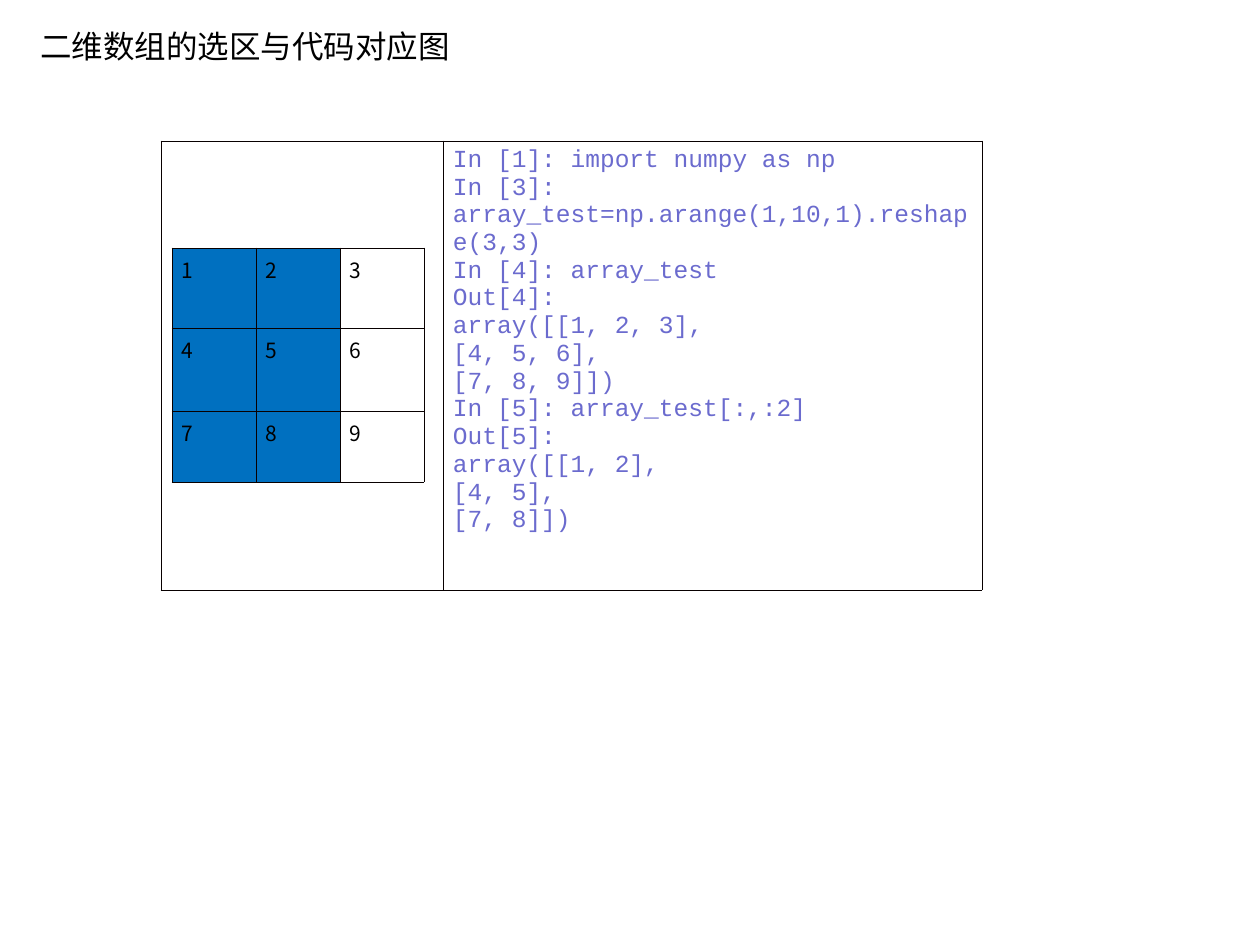
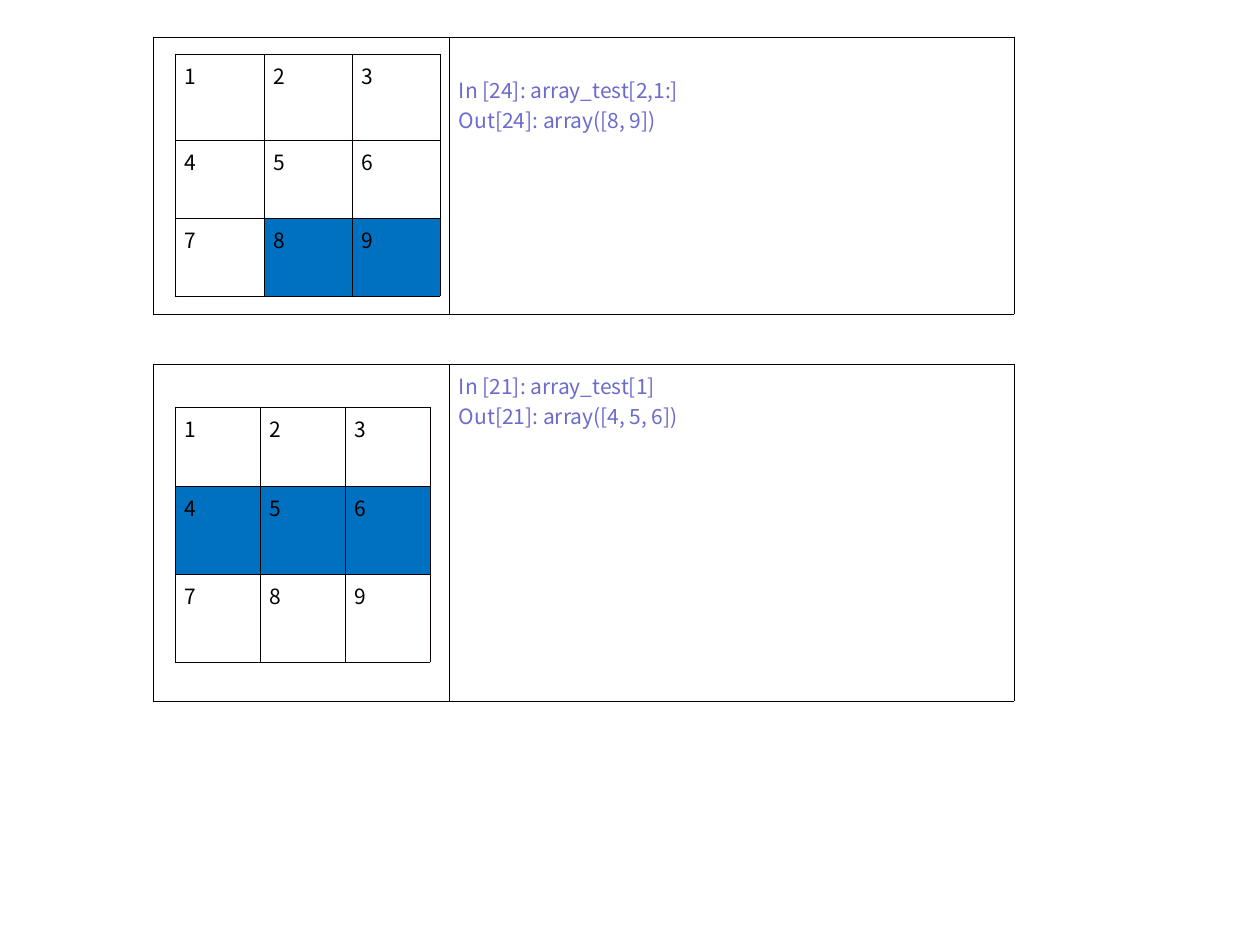
from lxml import etree
from pptx import Presentation
from pptx.dml.color import RGBColor
from pptx.enum.text import MSO_AUTO_SIZE
from pptx.oxml.ns import qn
from pptx.util import Emu, Pt

BLACK = RGBColor(0x00, 0x00, 0x00)
BORDER = RGBColor(0x08, 0x00, 0x00)
SELECTED = RGBColor(0x00, 0x70, 0xC0)
CODE = RGBColor(0x6B, 0x6B, 0xCE)

TITLE_FONT = "Arial"
MONO_FONT = "Courier New"
SANS_FONT = "Noto Sans CJK SC"

PIXELS_PER_INCH = 126
SIDE_MARGIN, TOP_MARGIN = 10, 6
BORDER_WIDTH = Pt(0.45)

SLICE_SESSION = [
    "In [1]: import numpy as np",
    "In [3]: array_test=np.arange(1,10,1).reshape(3,3)",
    "In [4]: array_test",
    "Out[4]:",
    "array([[1, 2, 3],",
    "[4, 5, 6],",
    "[7, 8, 9]])",
    "In [5]: array_test[:,:2]",
    "Out[5]:",
    "array([[1, 2],",
    "[4, 5],",
    "[7, 8]])",
]


def px(length):
    return Emu(round(length * 914400 / PIXELS_PER_INCH))


def write_lines(text_frame, lines, font_name, size, color):
    for index, line in enumerate(lines):
        paragraph = text_frame.add_paragraph() if index else text_frame.paragraphs[0]
        run = paragraph.add_run()
        run.text = line
        run.font.name = font_name
        run.font.size = Pt(size)
        run.font.bold = False
        run.font.color.rgb = color


def add_borders(cell):
    properties = cell._tc.get_or_add_tcPr()
    for index, side in enumerate(("a:lnL", "a:lnR", "a:lnT", "a:lnB")):
        line = etree.Element(qn(side), w=str(BORDER_WIDTH))
        fill = etree.SubElement(line, qn("a:solidFill"))
        etree.SubElement(fill, qn("a:srgbClr"), val=str(BORDER))
        properties.insert(index, line)


def add_plain_table(slide, left, top, columns, rows):
    """Add a table with thin borders and no fill; columns and rows are px sizes."""
    table = slide.shapes.add_table(
        len(rows), len(columns), px(left), px(top), px(sum(columns)), px(sum(rows))
    ).table
    table.first_row = table.horz_banding = False
    for column, width in zip(table.columns, columns):
        column.width = px(width)
    for row, height in zip(table.rows, rows):
        row.height = px(height)
    for cell in table.iter_cells():
        cell.margin_left = cell.margin_right = px(SIDE_MARGIN)
        cell.margin_top = cell.margin_bottom = px(TOP_MARGIN)
        cell.fill.background()
        add_borders(cell)
    return table


def add_array_grid(slide, left, top, columns, rows, selected):
    """Number the cells from 1 and colour the selected numbers."""
    table = add_plain_table(slide, left, top, columns, rows)
    for number, cell in enumerate(table.iter_cells(), start=1):
        write_lines(cell.text_frame, [str(number)], SANS_FONT, 12, BLACK)
        if number in selected:
            cell.fill.solid()
            cell.fill.fore_color.rgb = SELECTED


def add_example(slide, box, code_width, grid_offset, grid_columns, grid_rows,
                selected, code, font_name=SANS_FONT, size=12, code_drop=0):
    """Frame an array grid beside its code; grid_offset is relative to the box."""
    left, top, width, height = box
    frame = add_plain_table(slide, left, top, [width - code_width, code_width], [height])
    code_cell = frame.cell(0, 1)
    code_cell.margin_top = px(TOP_MARGIN + code_drop)
    write_lines(code_cell.text_frame, code, font_name, size, CODE)
    offset_x, offset_y = grid_offset
    add_array_grid(slide, left + offset_x, top + offset_y,
                   grid_columns, grid_rows, selected)


def add_title(slide, text):
    text_frame = slide.shapes.add_textbox(px(28), px(21), px(1029), px(50)).text_frame
    text_frame.word_wrap = True
    text_frame.auto_size = MSO_AUTO_SIZE.SHAPE_TO_FIT_TEXT
    write_lines(text_frame, [text], TITLE_FONT, 18, BLACK)


def build_column_slice_slide(slide):
    add_title(slide, "二维数组的选区与代码对应图")
    add_example(slide, (161, 141, 821, 449), 539, (11, 107), [84] * 3, [80, 83, 71],
                {1, 2, 4, 5, 7, 8}, SLICE_SESSION, MONO_FONT, 14)


def build_row_slice_slide(slide):
    left, width, code_width = 153, 861, 565
    add_example(slide, (left, 37, width, 277), code_width, (22, 17),
                [89, 88, 88], [86, 78, 78], {8, 9},
                ["In [24]: array_test[2,1:]", "Out[24]: array([8, 9])"], code_drop=31)
    add_example(slide, (left, 364, width, 337), code_width, (22, 43),
                [85] * 3, [79, 88, 88], {4, 5, 6},
                ["In [21]: array_test[1]", "Out[21]: array([4, 5, 6])"])


def main():
    presentation = Presentation()
    presentation.slide_width, presentation.slide_height = px(1260), px(945)
    blank = presentation.slide_layouts[6]
    for build in (build_column_slice_slide, build_row_slice_slide):
        build(presentation.slides.add_slide(blank))
    presentation.save("out.pptx")


if __name__ == "__main__":
    main()
